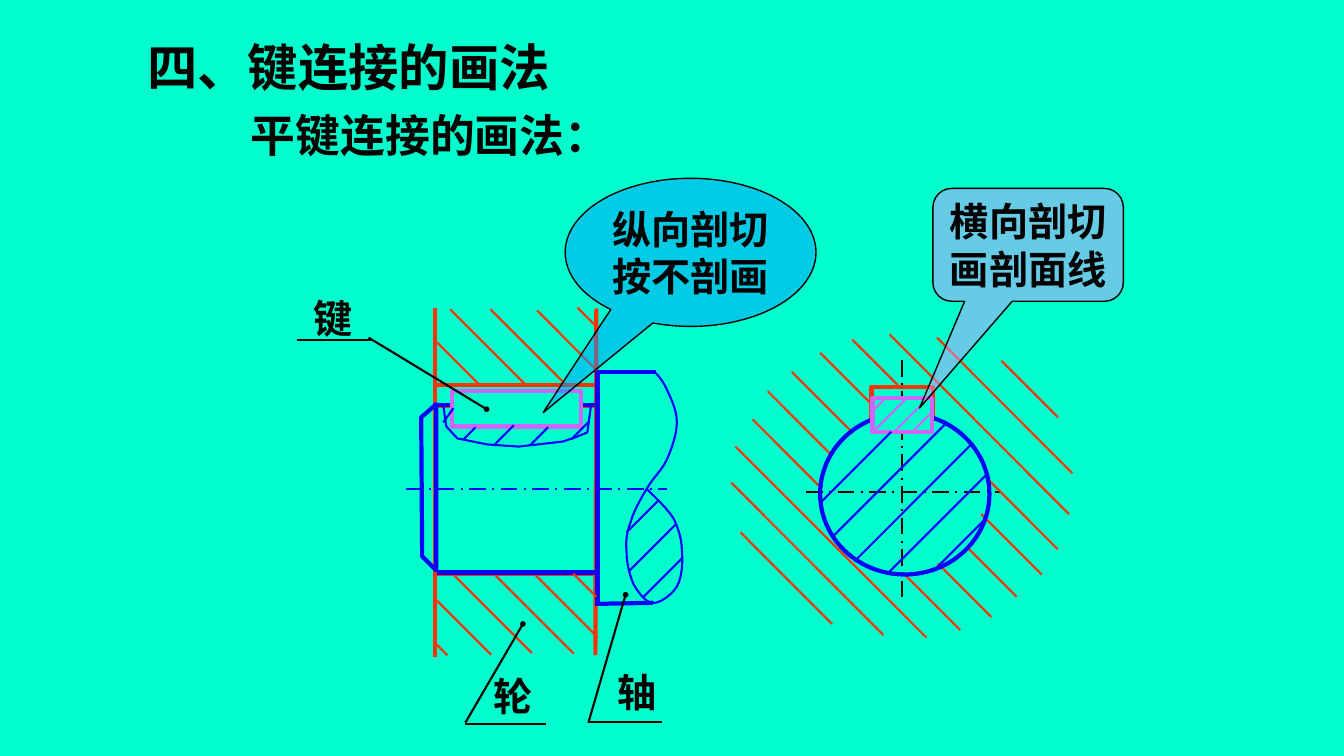
"""Build the slide on drawing flat key joints: a lengthwise and a crosswise section."""
from lxml import etree
from pptx import Presentation
from pptx.dml.color import RGBColor
from pptx.enum.dml import MSO_LINE
from pptx.enum.shapes import MSO_CONNECTOR, MSO_SHAPE
from pptx.enum.text import MSO_ANCHOR, MSO_AUTO_SIZE, PP_ALIGN
from pptx.oxml.ns import qn
from pptx.util import Pt

STRAIGHT = MSO_CONNECTOR.STRAIGHT
RECTANGLE, OVAL = MSO_SHAPE.RECTANGLE, MSO_SHAPE.OVAL
OVAL_CALLOUT = MSO_SHAPE.OVAL_CALLOUT
ROUNDED_CALLOUT = MSO_SHAPE.ROUNDED_RECTANGULAR_CALLOUT
DASH_DOT = MSO_LINE.LONG_DASH_DOT
MIDDLE, NO_RESIZE = MSO_ANCHOR.MIDDLE, MSO_AUTO_SIZE.NONE
LEFT, CENTER = PP_ALIGN.LEFT, PP_ALIGN.CENTER

MINT = RGBColor(0x00, 0xFF, 0xCC)
BLACK = RGBColor(0x00, 0x00, 0x00)
RED = RGBColor(0xFF, 0x33, 0x00)
BLUE = RGBColor(0x00, 0x00, 0xFF)
VIOLET = RGBColor(0xCC, 0x66, 0xFF)
SKY = RGBColor(0x00, 0x99, 0xFF)
LILAC = RGBColor(0xCC, 0x99, 0xFF)
SANS, SERIF = "Noto Sans CJK SC", "Times New Roman"
THIN, THICK = 1.5, 3


def add_lines(segments, color, width, dash=None, dot=False):
    for x1, y1, x2, y2 in segments:
        line = slide.shapes.add_connector(STRAIGHT, Pt(x1), Pt(y1), Pt(x2), Pt(y2))
        line.line.color.rgb = color
        line.line.width = Pt(width)
        if dash:
            line.line.dash_style = dash
        properties = line._element.spPr
        if dot:
            outline_xml = properties.find(qn("a:ln"))
            etree.SubElement(outline_xml, qn("a:headEnd"), type="oval", w="sm", len="sm")
        etree.SubElement(properties, qn("a:effectLst"))


def write_text(shape, lines, size, typeface, alignment=CENTER):
    frame = shape.text_frame
    frame_format = {"word_wrap": False, "auto_size": NO_RESIZE, "vertical_anchor": MIDDLE}
    for name, value in frame_format.items():
        setattr(frame, name, value)
    frame.text = "\n".join(lines)
    for paragraph in frame.paragraphs:
        paragraph.alignment = alignment
        font = paragraph.runs[0].font
        for name, value in {"name": typeface, "size": Pt(size), "bold": True}.items():
            setattr(font, name, value)
        font.color.rgb = BLACK
        etree.SubElement(font._element, qn("a:ea"), typeface=SANS)


presentation = Presentation()
presentation.slide_width, presentation.slide_height = Pt(960.48), Pt(540)
slide = presentation.slides.add_slide(presentation.slide_layouts[5])
slide.background.fill.solid()
slide.background.fill.fore_color.rgb = MINT

title = slide.shapes.title
title.left, title.top, title.width, title.height = Pt(97.9), Pt(22.3), Pt(340), Pt(50.4)
write_text(title, ["四、键连接的画法"], 36, SANS, LEFT)
subtitle = slide.shapes.add_textbox(Pt(172.1), Pt(73.4), Pt(270.7), Pt(46.1))
write_text(subtitle, ["平键连接的画法："], 32, SANS)

wheel_edges = [
    (426.2, 220.3, 425.5, 468), (311, 220.3, 311, 469.4), (311, 275, 427, 275),
    (311.8, 290.2, 425.5, 290.2), (310.3, 409.7, 427, 409.7),
]
shaft_edges = [
    (427, 265.7, 468.7, 265.7), (427.7, 431.3, 466.6, 430.6), (309.6, 289.4, 426.2, 289.4),
    (312.5, 409, 427, 409), (427, 265, 427, 432.7),
]
add_lines(wheel_edges, RED, THICK)
add_lines(shaft_edges, BLUE, THICK)
add_lines([(290.2, 349.2, 476.6, 349.2)], BLUE, THIN, DASH_DOT)
add_lines([(576, 351.4, 715.7, 351.4)], BLACK, THIN, DASH_DOT)

break_start = (468, 265.7)
break_curves = [
    ((471.6, 269.3), (475.2, 274.3), (477.4, 280.1)),
    ((480.2, 285.8), (483.8, 293.8), (483.8, 301.7)),
    ((483.8, 309.6), (480.2, 320.4), (476.6, 328.3)),
    ((473, 336.2), (466.6, 341.3), (462.2, 349.2)),
    ((457.9, 356.4), (452.9, 365), (450.7, 373)),
    ((447.8, 380.2), (447.1, 387.4), (447.8, 394.6)),
    ((447.8, 401.8), (450, 411.1), (452.9, 417.6)),
    ((456.5, 423.4), (461.5, 430.6), (466.6, 430.6)),
    ((471.6, 431.3), (480.2, 424.8), (483.8, 419)),
    ((487.4, 412.6), (488.2, 401.8), (487.4, 393.8)),
    ((487.4, 385.9), (485.3, 378.7), (481.7, 370.8)),
    ((477.4, 363.6), (466.6, 353.5), (462.2, 349.2)),
]
STEPS = 6
shaft_break = [break_start]
for control_1, control_2, end in break_curves:
    corners = list(zip(shaft_break[-1], control_1, control_2, end))
    for step in range(1, STEPS + 1):
        t = step / STEPS
        weights = ((1 - t) ** 3, 3 * t * (1 - t) ** 2, 3 * t * t * (1 - t), t ** 3)
        shaft_break.append(tuple(sum(w * c for w, c in zip(weights, axis)) for axis in corners))

shaft_end = [(311.8, 407.5), (301.7, 397.4), (301, 298.1), (311.8, 288.7)]
local_cut = [
    (316.8, 289.4), (319, 304.6), (326.9, 313.2), (348.5, 317.5), (370.8, 319),
    (390.2, 316.8), (402.5, 315.4), (411.1, 312.5), (419.8, 308.9), (422.6, 288),
]
keyway = [(622.8, 302.4), (622.8, 276.5), (666.7, 276.5), (666.7, 301)]

hub_hatches = [
    (312.5, 244.8, 31), (321.8, 221, 54), (350.6, 221, 54), (383.8, 221.8, 42.5),
    (412.6, 219.6, 12.5), (409.7, 409.7, 16.6), (383, 411.1, 43.9), (354.2, 411.1, 55.8),
    (324.7, 411.1, 55.4), (311, 427.7, 40), (310.3, 458.6, 9.4),
    (529.2, 380.2, 65.5), (537.8, 299.5, 47.2), (647.3, 411.1, 38.9), (548.6, 279.4, 46.1),
    (670.3, 402.5, 38.2), (565.9, 265.7, 43.6), (691.9, 391.7, 34.6), (586.1, 252, 38.9),
    (701.3, 367.2, 43.2), (609.1, 242.6, 32.4), (704.9, 341.3, 51.1), (635.8, 239, 128.2),
    (669.6, 241.2, 96.8), (525.6, 319, 136.4), (522.7, 344.9, 108.7), (715.7, 257.8, 40.3),
]
shaft_hatches = [
    (447.8, 380.2, 23), (449.3, 408.2, 33.5), (460.1, 426.2, 27.4),
    (331.2, 313.9, 8.6), (352.8, 318.2, 14.4), (378.7, 318.2, 13), (408.2, 313.9, 12.6),
    (666.7, 408.2, 38.2), (633.6, 410.4, 71.3), (610.6, 401, 83.9), (594.7, 383.8, 80.6),
    (586.1, 359.3, 50.8),
]
key_hatches = [(621.4, 295.9, 12), (625, 307.4, 23.4), (638.6, 308.9, 24.8), (652.3, 308.2, 15.1)]

add_lines([(x, y, x + run, y + run) for x, y, run in hub_hatches], RED, THIN)
outlines = [
    (shaft_end, True, None, BLUE, THICK), (local_cut, False, None, BLUE, THIN),
    (shaft_break, False, None, BLUE, THIN), (keyway, False, MINT, RED, THICK),
]
for points, closed, fill, color, width in outlines:
    vertices = [(Pt(x), Pt(y)) for x, y in points]
    builder = slide.shapes.build_freeform(*vertices[0])
    builder.add_line_segments(vertices[1:], close=closed)
    outline = builder.convert_to_shape()
    outline.shadow.inherit = False
    outline.fill.background()
    if fill:
        outline.fill.solid()
        outline.fill.fore_color.rgb = fill
    outline.line.color.rgb = color
    outline.line.width = Pt(width)
add_lines([(644.4, 257, 644.4, 427.7)], BLACK, THIN, DASH_DOT)

solids = [
    (OVAL, (586.1, 295.2, 121, 115.2), None, BLUE),
    (RECTANGLE, (323.3, 279.4, 92.2, 25.2), MINT, VIOLET),
    (RECTANGLE, (623.5, 284.4, 42.5, 24.5), MINT, VIOLET),
]
for kind, box, fill, color in solids:
    solid = slide.shapes.add_shape(kind, *map(Pt, box))
    solid.shadow.inherit = False
    solid.fill.background()
    if fill:
        solid.fill.solid()
        solid.fill.fore_color.rgb = fill
    solid.line.color.rgb = color
    solid.line.width = Pt(THICK)
for hatches, color in ((key_hatches, VIOLET), (shaft_hatches, BLUE)):
    add_lines([(x, y, x + run, y - run) for x, y, run in hatches], color, THIN)
add_lines([(316.8, 301.7, 324, 291.6)], BLUE, THIN)

labels = [
    ("轮", 345.6, 476.6, (373.7, 445.7, 332.6, 516.2), (332.6, 517, 390.2, 517)),
    ("键", 216.7, 206.6, (347.8, 292.3, 263.5, 241.2), (212.4, 242.6, 265, 242.6)),
    ("轴", 434.2, 473.8, (447.1, 424.8, 420.5, 516.2), (420.5, 515.5, 473, 515.5)),
]
for name, left, top, leader, underline in labels:
    label = slide.shapes.add_textbox(Pt(left), Pt(top), Pt(42.5), Pt(41))
    write_text(label, [name], 28, SERIF)
    add_lines([leader], BLACK, THIN, dot=True)
    add_lines([underline], BLACK, THIN)

callouts = [
    (OVAL_CALLOUT, (403.9, 127.4, 179.3, 105.8), (-0.588, 1.082), SKY, ["纵向剖切", "按不剖画"]),
    (ROUNDED_CALLOUT, (666.7, 134.6, 136.1, 80.6), (-0.57, 1.446, 0.167), LILAC,
     ["横向剖切", "画剖面线"]),
]
for kind, box, adjustments, fill, lines in callouts:
    callout = slide.shapes.add_shape(kind, *map(Pt, box))
    callout.shadow.inherit = False
    for index, value in enumerate(adjustments):
        callout.adjustments[index] = value
    callout.fill.solid()
    callout.fill.fore_color.rgb = fill
    fill_color = callout._element.spPr.find(qn("a:solidFill"))[0]
    etree.SubElement(fill_color, qn("a:alpha"), val="50000")
    callout.line.color.rgb = BLACK
    callout.line.width = Pt(1)
    write_text(callout, lines, 28, SERIF)

presentation.save("out.pptx")
